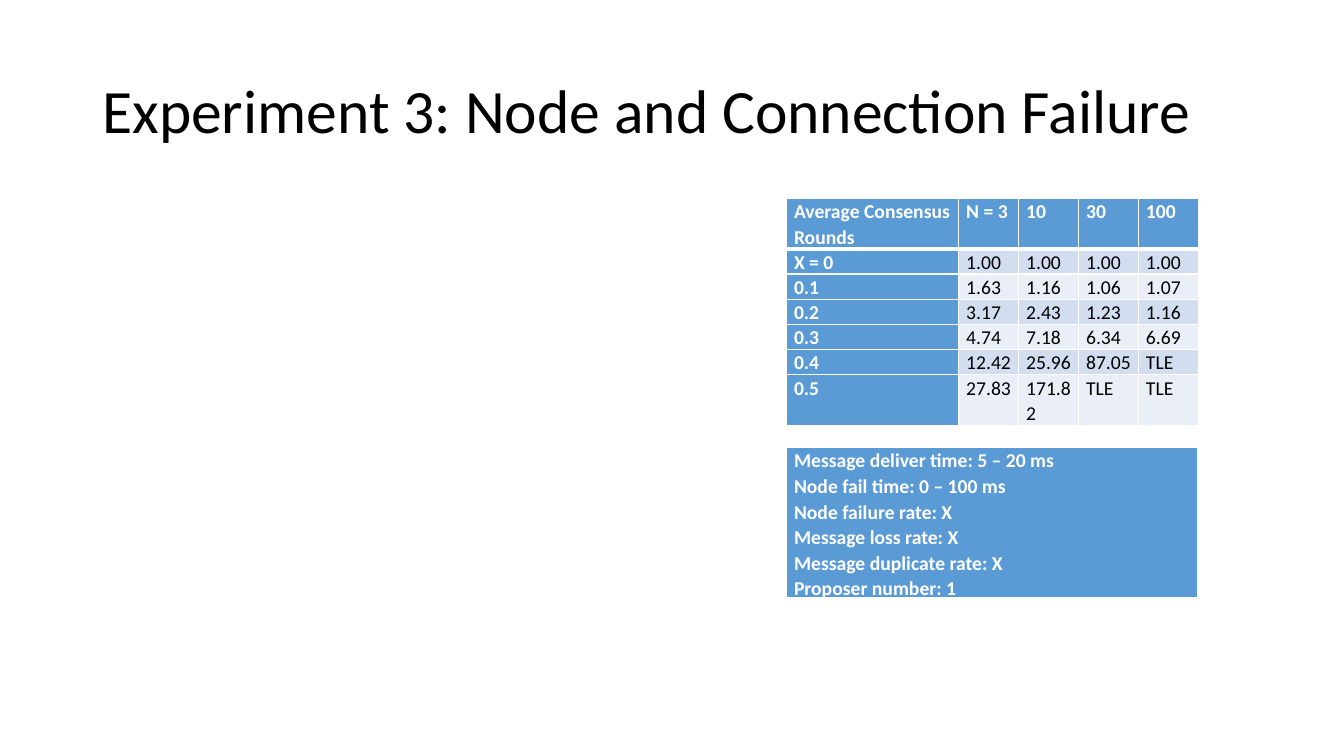
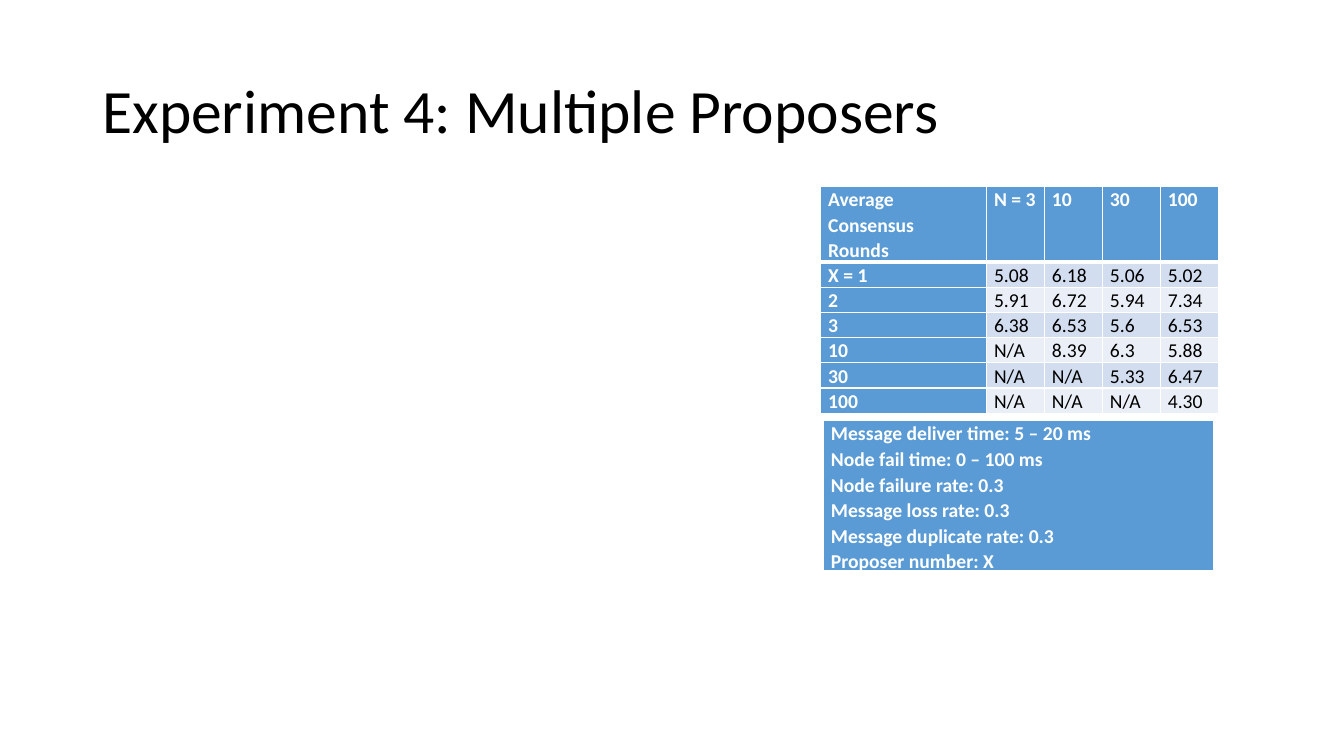
from dataclasses import dataclass

from lxml.etree import SubElement
from pptx import Presentation
from pptx.dml.color import RGBColor as Rgb
from pptx.enum.text import MSO_ANCHOR as Anchor
from pptx.oxml.ns import qn
from pptx.util import Cm, Pt

# Content: lengths in centimetres
EXPERIMENTS = [
    {
        "title": "Experiment 3: Node and Connection Failure",
        "results_at": (19.82, 5.0),
        "column_widths": (4.34, 1.51),
        "results": [
            ("Average Consensus Rounds", "N = 3", "10", "30", "100"),
            ("X = 0", "1.00", "1.00", "1.00", "1.00"),
            ("0.1", "1.63", "1.16", "1.06", "1.07"),
            ("0.2", "3.17", "2.43", "1.23", "1.16"),
            ("0.3", "4.74", "7.18", "6.34", "6.69"),
            ("0.4", "12.42", "25.96", "87.05", "TLE"),
            ("0.5", "27.83", "171.82", "TLE", "TLE"),
        ],
        "settings_at": (19.82, 11.28),
        "settings_width": 10.36,
        "failure_rate": "X",
        "proposers": "1",
    },
    {
        "title": "Experiment 4: Multiple Proposers",
        "results_at": (20.68, 4.7),
        "column_widths": (4.18, 1.46),
        "results": [
            ("Average Consensus Rounds", "N = 3", "10", "30", "100"),
            ("X = 1", "5.08", "6.18", "5.06", "5.02"),
            ("2", "5.91", "6.72", "5.94", "7.34"),
            ("3", "6.38", "6.53", "5.6", "6.53"),
            ("10", "N/A", "8.39", "6.3", "5.88"),
            ("30", "N/A", "N/A", "5.33", "6.47"),
            ("100", "N/A", "N/A", "N/A", "4.30"),
        ],
        "settings_at": (20.75, 10.6),
        "settings_width": 9.83,
        "failure_rate": "0.3",
        "proposers": "X",
    },
]


@dataclass(frozen=True)
class Theme:
    font: str = "Calibri"
    title_size: int = 44
    table_size: int = 14
    title_spacing: float = 0.9
    table_spacing: float = 1.07
    ink: str = "000000"
    white: str = "FFFFFF"
    accent: str = "5B9BD5"
    bands: tuple = ("D2DEEF", "EAEFF7")
    thin: int = 1
    thick: int = 3
    inset: float = 0.19
    row_height: float = 0.6
    settings_height: float = 3.6


THEME = Theme()


# Text and cells
def style_text(frame, size, color, spacing, bold=False):
    for para in frame.paragraphs:
        para.line_spacing = spacing
        for span in para.runs:
            span.font.name = THEME.font
            span.font.size = Pt(size)
            span.font.bold = bold
            span.font.color.rgb = Rgb.from_string(color)


def set_borders(cell, top, bottom):
    properties = cell._tc.get_or_add_tcPr()
    widths = {"L": THEME.thin, "R": THEME.thin, "T": top, "B": bottom}
    for side, width in widths.items():
        line = SubElement(properties, qn(f"a:ln{side}"), w=str(Pt(width)))
        fill = SubElement(line, qn("a:solidFill"))
        SubElement(fill, qn("a:srgbClr"), val=THEME.white)


def fill_cell(cell, text, row, column):
    is_header = row == 0 or column == 0
    set_borders(
        cell,
        top=THEME.thick if row == 1 else THEME.thin,
        bottom=THEME.thick if row == 0 else THEME.thin,
    )
    cell.fill.solid()
    color = THEME.accent if is_header else THEME.bands[(row - 1) % 2]
    cell.fill.fore_color.rgb = Rgb.from_string(color)
    cell.margin_left = cell.margin_right = Cm(THEME.inset)
    cell.margin_top = cell.margin_bottom = 0
    cell.text_frame.text = text
    style_text(cell.text_frame, THEME.table_size,
               THEME.white if is_header else THEME.ink,
               THEME.table_spacing, bold=is_header)


# Slide parts
def add_title(page, text):
    box = page.shapes.add_textbox(Cm(2.33), Cm(1.01), Cm(29.21), Cm(3.68))
    frame = box.text_frame
    frame.word_wrap = True
    frame.vertical_anchor = Anchor.MIDDLE
    frame.text = text
    style_text(frame, THEME.title_size, THEME.ink, THEME.title_spacing)


def add_grid(page, rows, position, widths, row_height):
    left, top = position
    table = page.shapes.add_table(
        len(rows), len(widths), Cm(left), Cm(top),
        Cm(sum(widths)), Cm(row_height * len(rows)),
    ).table
    table.first_row = table.horz_banding = False
    for column, width in zip(table.columns, widths):
        column.width = Cm(width)
    for row, texts in enumerate(rows):
        for column, text in enumerate(texts):
            fill_cell(table.cell(row, column), text, row, column)


def add_experiment(deck, experiment):
    page = deck.slides.add_slide(deck.slide_layouts[6])
    add_title(page, experiment["title"])

    rate = experiment["failure_rate"]
    settings = "\n".join([
        "Message deliver time: 5 – 20 ms",
        "Node fail time: 0 – 100 ms",
        f"Node failure rate: {rate}",
        f"Message loss rate: {rate}",
        f"Message duplicate rate: {rate}",
        f"Proposer number: {experiment['proposers']}",
    ])
    add_grid(page, [(settings,)], experiment["settings_at"],
             [experiment["settings_width"]], THEME.settings_height)

    results = experiment["results"]
    label_width, value_width = experiment["column_widths"]
    widths = [label_width] + [value_width] * (len(results[0]) - 1)
    add_grid(page, results, experiment["results_at"], widths, THEME.row_height)


# Deck
deck = Presentation()
deck.slide_width, deck.slide_height = Cm(33.87), Cm(19.05)
for experiment in EXPERIMENTS:
    add_experiment(deck, experiment)
deck.save("out.pptx")
